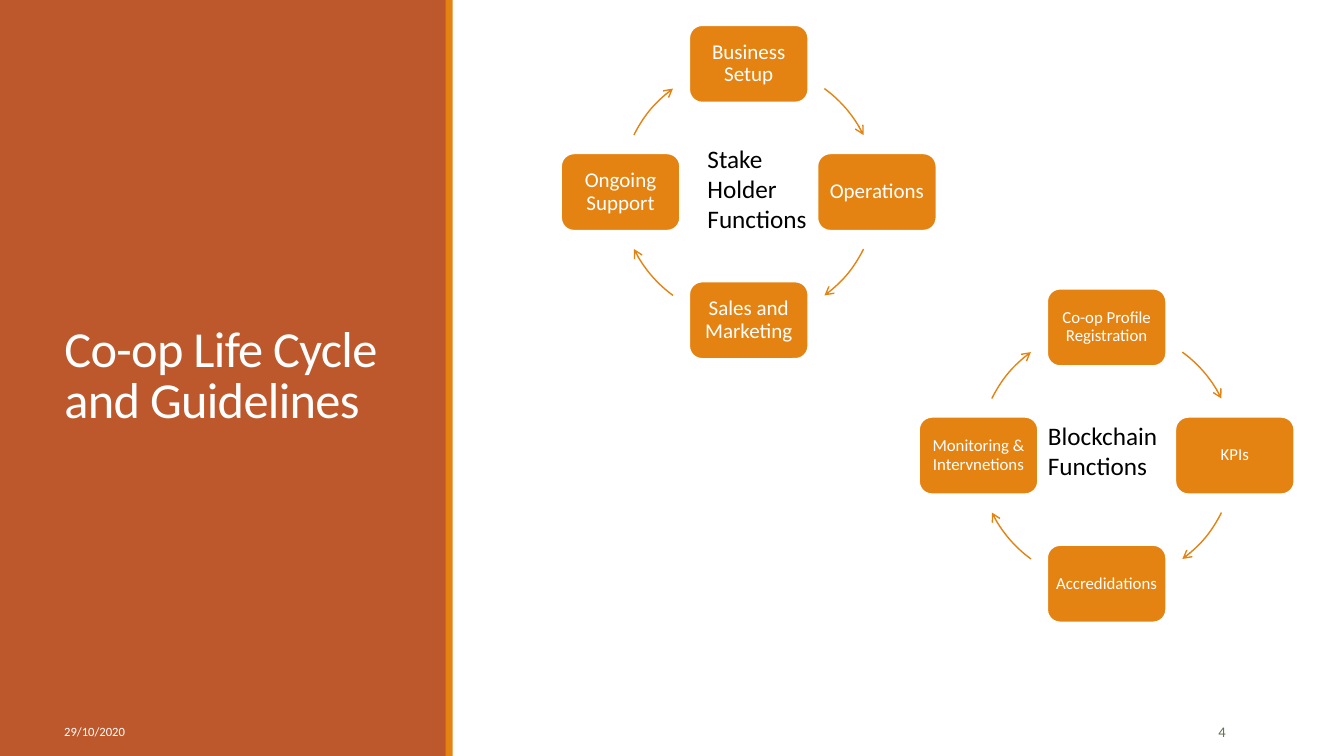
from math import cos, radians, sin

from lxml import etree
from pptx import Presentation
from pptx import util as u
from pptx.dml.color import RGBColor
from pptx.enum import shapes, text
from pptx.oxml.ns import qn

COLORS = {"rust": "BD582C", "orange": "E48312", "white": "FFFFFF",
          "black": "000000", "olive": "637052"}
FONT = "Calibri"
TITLE = "Co-op Life Cycle and Guidelines"
CYCLES = [
    {"center": (18.87, 4.84), "size": 15, "inset": 0.15,
     "steps": ["Business Setup", "Operations", "Sales and Marketing", "Ongoing Support"],
     "label": ("Stake Holder Functions", (17.58, 3.48, 3.45, 2.54))},
    {"center": (27.89, 11.48), "size": 12, "inset": 0.12,
     "steps": ["Co-op Profile Registration", "KPIs", "Accredidations",
               "Monitoring & Intervnetions"],
     "label": ("Blockchain Functions", (26.16, 10.46, 3.45, 1.8))},
]
FOOTERS = [
    ("29/10/2020", (1.37, 17.93, 4.83, 1.02), 9, "white", text.PP_ALIGN.LEFT),
    ("4", (28.12, 17.93, 3.02, 1.02), 10.5, "olive", text.PP_ALIGN.RIGHT),
]
PANELS = [((0, 0, 11.25, 19.05), "rust"), ((11.23, 0, 0.18, 19.05), "orange")]
RADIUS, BOX_W, BOX_H = 3.23, 3.0, 1.95
ARC_SPANS = [(306.2, 333.6), (26.4, 53.8), (126.2, 153.6), (206.4, 233.8)]


def color(name):
    return RGBColor.from_string(COLORS[name])


def cm(box):
    return [u.Cm(v) for v in box]


def write(sp, words, size, ink, align=text.PP_ALIGN.LEFT, anchor=text.MSO_ANCHOR.MIDDLE):
    tf = sp.text_frame
    tf.text = words
    tf.word_wrap = True
    tf.auto_size = text.MSO_AUTO_SIZE.NONE
    tf.vertical_anchor = anchor
    p = tf.paragraphs[0]
    p.alignment = align
    font = p.runs[0].font
    font.name, font.size = FONT, u.Pt(size)
    font.color.rgb = color(ink)
    return tf


def add_shape(s, kind, box, fill):
    sp = s.shapes.add_shape(kind, *cm(box))
    sp.shadow.inherit = False
    sp.fill.solid()
    sp.fill.fore_color.rgb = color(fill)
    sp.line.fill.background()
    return sp


def add_text(s, words, box, size, ink, align=text.PP_ALIGN.LEFT,
             anchor=text.MSO_ANCHOR.MIDDLE):
    write(s.shapes.add_textbox(*cm(box)), words, size, ink, align, anchor)


def add_step(s, words, x, y, size, inset):
    box = (x - BOX_W / 2, y - BOX_H / 2, BOX_W, BOX_H)
    sp = add_shape(s, shapes.MSO_SHAPE.ROUNDED_RECTANGLE, box, "orange")
    sp.line.color.rgb = color("white")
    sp.line.width = u.Pt(1.25)
    tf = write(sp, words, size, "white", text.PP_ALIGN.CENTER)
    tf.margin_left = tf.margin_right = tf.margin_top = tf.margin_bottom = u.Cm(inset)
    tf.paragraphs[0].line_spacing = 0.9


def add_arrow(s, x, y, span):
    box = (x - RADIUS, y - RADIUS, 2 * RADIUS, 2 * RADIUS)
    sp = s.shapes.add_shape(shapes.MSO_SHAPE.ARC, *cm(box))
    sp.shadow.inherit = False
    sp.fill.background()
    for i, degrees in enumerate(span):
        sp.adjustments[i] = degrees * 0.6
    sp.line.color.rgb = color("orange")
    sp.line.width = u.Pt(1)
    ln = sp.element.spPr.find(qn("a:ln"))
    etree.SubElement(ln, qn("a:tailEnd"), type="arrow")


def add_cycle(s, cycle):
    cx, cy = cycle["center"]
    for i, (words, span) in enumerate(zip(cycle["steps"], ARC_SPANS)):
        angle = radians(90 * i - 90)
        add_step(s, words, cx + RADIUS * cos(angle), cy + RADIUS * sin(angle),
                 cycle["size"], cycle["inset"])
        add_arrow(s, cx, cy, span)
    words, box = cycle["label"]
    add_text(s, words, box, 18, "black", anchor=text.MSO_ANCHOR.TOP)


def main():
    prs = Presentation()
    prs.slide_width, prs.slide_height = u.Cm(33.87), u.Cm(19.05)
    s = prs.slides.add_slide(prs.slide_layouts[5])

    title = s.shapes.title
    title.left, title.top, title.width, title.height = cm((1.37, 1.68, 8.56, 15.67))
    p = write(title, TITLE, 36, "white").paragraphs[0]
    p.line_spacing = 0.85
    p.runs[0].font._element.set("spc", "-50")

    for box, fill in PANELS:
        panel = add_shape(s, shapes.MSO_SHAPE.RECTANGLE, box, fill)
        title.element.addprevious(panel.element)
    for footer in FOOTERS:
        add_text(s, *footer)
    for cycle in CYCLES:
        add_cycle(s, cycle)
    prs.save("out.pptx")


if __name__ == "__main__":
    main()
